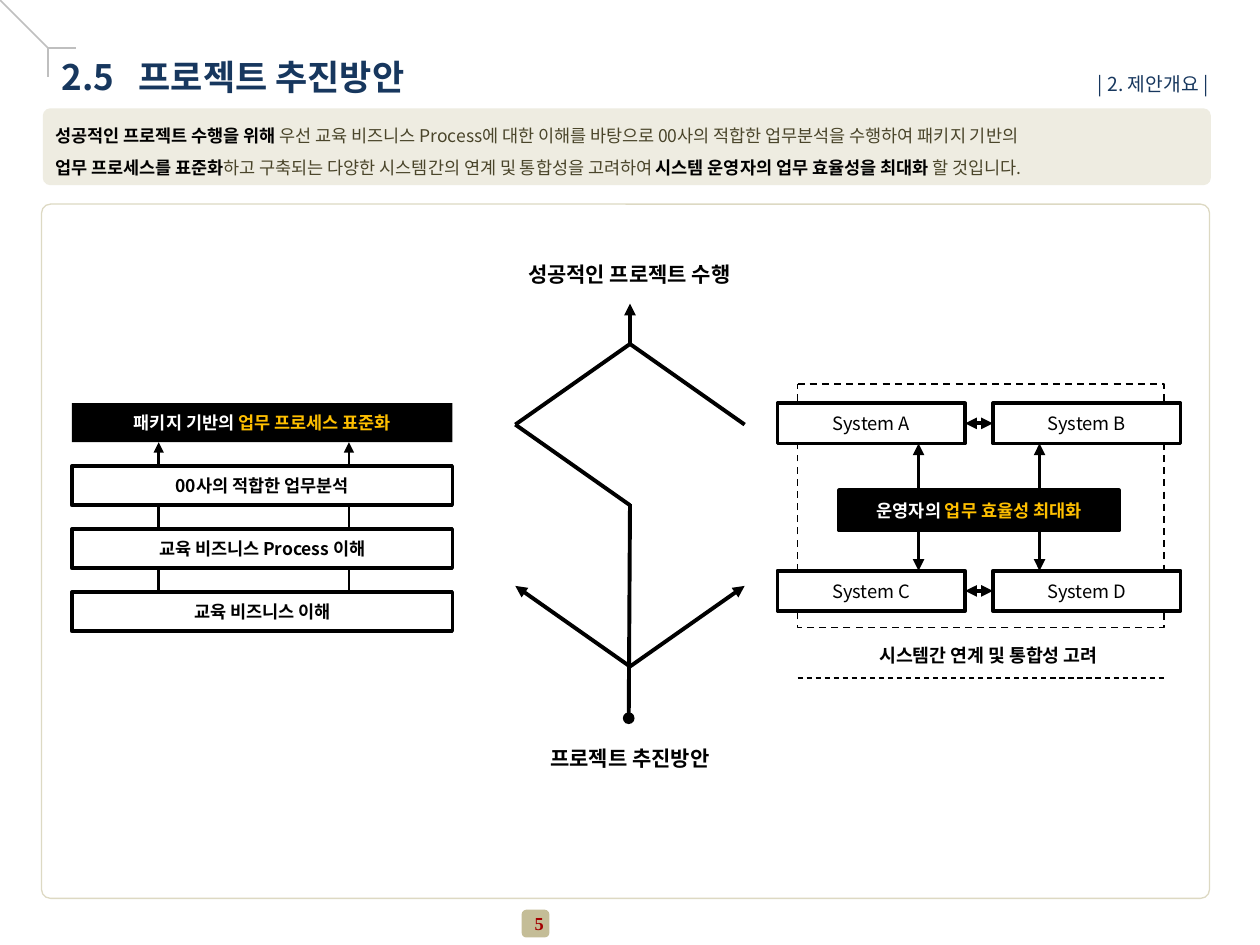
from dataclasses import dataclass

from lxml import etree
from pptx import Presentation
from pptx import util as u
from pptx.dml import color as colors
from pptx.enum import dml, shapes, text
from pptx.oxml import ns


@dataclass(frozen=True)
class Theme:
    font: str = "Noto Sans CJK KR"
    number_font: str = "Times New Roman"
    navy: str = "17375E"
    black: str = "000000"
    white: str = "FFFFFF"
    amber: str = "FFC000"
    olive: str = "4A452A"
    cream: str = "EEECE1"
    border: str = "DDD9C3"
    khaki: str = "C4BD97"
    red: str = "A40000"
    gray: str = "BFBFBF"
    title: float = 20
    caption: float = 12
    section: float = 11
    system: float = 10.5
    body: float = 10


THEME = Theme()
SHAPE = shapes.MSO_SHAPE
ALIGN = text.PP_ALIGN
ANCHOR = text.MSO_ANCHOR


def rgb(value):
    return colors.RGBColor.from_string(value)


def place(box, left, top, width, height):
    box.left, box.top = u.Inches(left), u.Inches(top)
    box.width, box.height = u.Inches(width), u.Inches(height)


def write_line(para, runs, size, align=ALIGN.CENTER, spacing=1.0, font=THEME.font):
    para.alignment = align
    para.line_spacing = spacing
    para.space_before = u.Pt(0)
    for words, color, bold in runs:
        span = para.add_run()
        span.text = words
        span.font.name = font
        span.font.size = u.Pt(size)
        span.font.bold = bold
        span.font.color.rgb = rgb(color)
        east_asian = etree.SubElement(span.font._element, ns.qn("a:ea"))
        east_asian.set("typeface", font)


def outline(line, color, width, dashed=False):
    line.color.rgb = rgb(color)
    line.width = u.Pt(width)
    if dashed:
        line.dash_style = dml.MSO_LINE.DASH


def add_box(page, at, kind=SHAPE.RECTANGLE, fill=None, border=None, width=2,
            dashed=False, corner=None):
    box = page.shapes.add_shape(kind, *map(u.Inches, at))
    box.shadow.inherit = False
    if corner is not None:
        box.adjustments[0] = corner
    if fill:
        box.fill.solid()
        box.fill.fore_color.rgb = rgb(fill)
    else:
        box.fill.background()
    if border:
        outline(box.line, border, width, dashed)
    else:
        box.line.fill.background()
    return box


def add_labeled_box(page, at, runs, size=THEME.body, **style):
    box = add_box(page, at, **style)
    frame = box.text_frame
    frame.word_wrap = True
    frame.vertical_anchor = ANCHOR.MIDDLE
    write_line(frame.paragraphs[0], runs, size)
    return box


def add_label(page, at, words, size, color=THEME.black, bold=True,
              align=ALIGN.CENTER, spacing=1.0):
    frame = page.shapes.add_textbox(*map(u.Inches, at)).text_frame
    frame.word_wrap = True
    write_line(frame.paragraphs[0], [(words, color, bold)], size, align, spacing)


def add_link(page, start, end, width=2.25, color=THEME.black, head=None, tail=None,
             dashed=False):
    link = page.shapes.add_connector(
        shapes.MSO_CONNECTOR.STRAIGHT, *map(u.Inches, (*start, *end)))
    outline(link.line, color, width, dashed)
    stroke = link.line._get_or_add_ln()
    for tag, arrow in (("a:headEnd", head), ("a:tailEnd", tail)):
        if arrow:
            etree.SubElement(stroke, ns.qn(tag)).set("type", arrow)
    etree.SubElement(link._element.spPr, ns.qn("a:effectLst"))
    return link


def add_title(page):
    title = page.shapes.title
    place(title, 0.39, 0.39, 3.14, 0.44)
    frame = title.text_frame
    frame.auto_size = text.MSO_AUTO_SIZE.NONE
    frame.word_wrap = False
    frame.vertical_anchor = ANCHOR.TOP
    para = frame.paragraphs[0]
    tabs = etree.SubElement(para._p.get_or_add_pPr(), ns.qn("a:tabLst"))
    tab = etree.SubElement(tabs, ns.qn("a:tab"))
    tab.set("pos", str(u.Inches(0.61)))
    tab.set("algn", "l")
    write_line(para, [("2.5\t프로젝트 추진방안", THEME.navy, True)], THEME.title, ALIGN.LEFT)


def add_summary(page):
    at = (0.34, 0.86, 9.27, 0.61)
    add_box(page, at, SHAPE.ROUNDED_RECTANGLE, THEME.cream, corner=0.096)
    body = page.placeholders[1]
    place(body, *at)
    page.shapes._spTree.append(body._element)
    frame = body.text_frame
    frame.auto_size = text.MSO_AUTO_SIZE.NONE
    frame.word_wrap = True
    lines = (
        [("성공적인 프로젝트 수행을 위해 ", THEME.black, True),
         ("우선 교육 비즈니스 Process에 대한 이해를 바탕으로 00사의 적합한 업무분석을 "
          "수행하여 패키지 기반의", THEME.olive, False)],
        [("업무 프로세스를 표준화", THEME.black, True),
         ("하고 구축되는 다양한 시스템간의 연계 및 통합성을 고려하여 ", THEME.olive, False),
         ("시스템 운영자의 업무 효율성을 최대화 ", THEME.black, True),
         ("할 것입니다.", THEME.olive, False)],
    )
    for index, runs in enumerate(lines):
        para = frame.add_paragraph() if index else frame.paragraphs[0]
        properties = para._p.get_or_add_pPr()
        properties.set("marL", "0")
        properties.set("indent", "0")
        etree.SubElement(properties, ns.qn("a:buNone"))
        write_line(para, runs, THEME.body, ALIGN.LEFT, 1.5)


def add_page_frame(page):
    corner = (0.38, 0.38)
    for end in ((0.6, 0.38), (0.38, 0.61), (0, 0)):
        add_link(page, corner, end, 1, THEME.gray)
    add_label(page, (8.15, 0.43, 1.54, 0.34), "| 2. 제안개요 |", THEME.section,
              THEME.navy, False, ALIGN.RIGHT, 1.5)
    add_box(page, (0.33, 1.62, 9.27, 5.51), SHAPE.ROUNDED_RECTANGLE,
            border=THEME.border, width=0.75, corner=0.013)
    badge = add_box(page, (4.14, 7.22, 0.22, 0.22), SHAPE.ROUNDED_RECTANGLE, THEME.khaki)
    frame = badge.text_frame
    frame.margin_left = u.Inches(0.06)
    frame.margin_right = frame.margin_top = frame.margin_bottom = 0
    frame.vertical_anchor = ANCHOR.MIDDLE
    write_line(frame.paragraphs[0], [("5", THEME.red, True)], THEME.system,
               font=THEME.number_font)


def add_roadmap(page):
    left, center, right = 4.09, 5, 5.91
    peak, fork = (center, 2.73), (center, 5.29)
    add_link(page, (right, 3.37), peak)
    add_link(page, peak, (left, 3.37))
    add_link(page, (left, 3.37), (center, 4.01))
    add_link(page, (center, 4), (4.99, 5.7), tail="oval")
    for end in ((right, 4.65), (left, 4.65)):
        add_link(page, fork, end, tail="triangle")
    add_link(page, peak, (center, 2.41), tail="triangle")
    add_label(page, (3.84, 2.03, 2.31, 0.3), "성공적인 프로젝트 수행", THEME.caption)
    add_label(page, (4.03, 5.87, 1.94, 0.3), "프로젝트 추진방안", THEME.caption)


def add_process_steps(page):
    left, top, width, height, pitch = 0.57, 3.2, 3.02, 0.31, 0.5
    add_labeled_box(page, (left, top, width, height),
                    [("패키지 기반의 ", THEME.white, True),
                     ("업무 프로세스 표준화", THEME.amber, True)], fill=THEME.black)
    steps = ("00사의 적합한 업무분석", "교육 비즈니스 Process 이해", "교육 비즈니스 이해")
    for index, words in enumerate(steps):
        step_top = top + pitch * (index + 1)
        add_labeled_box(page, (left, step_top, width, height),
                        [(words, THEME.black, True)], border=THEME.black)
        for x in (1.26, 2.77):
            add_link(page, (x, step_top - pitch + height), (x, step_top), 1.5,
                     head=None if index else "triangle")


def add_system_map(page):
    width, height = 1.49, 0.32
    add_box(page, (6.33, 3.05, 2.91, 1.93), SHAPE.ROUNDED_RECTANGLE,
            border=THEME.black, width=1, dashed=True, corner=0)
    for top, names in ((3.2, "AB"), (4.53, "CD")):
        pair = [add_labeled_box(page, (left, top, width, height),
                                [(f"System {name}", THEME.black, False)], THEME.system,
                                fill=THEME.white, border=THEME.black)
                for left, name in zip((6.17, 7.88), names)]
        middle = top + height / 2
        link = add_link(page, (7.66, middle), (7.88, middle),
                        head="triangle", tail="triangle")
        link.begin_connect(pair[0], 3)
        link.end_connect(pair[1], 1)
    for x in (7.29, 8.25):
        add_link(page, (x, 3.52), (x, 4.53), head="triangle", tail="triangle")
    add_labeled_box(page, (6.66, 3.89, 2.22, height),
                    [("운영자의", THEME.white, True),
                     (" 업무 효율성 최대화", THEME.amber, True)],
                    fill=THEME.black, border=THEME.black)
    add_label(page, (6.67, 5.06, 2.35, 0.29), "시스템간 연계 및 통합성 고려", THEME.system)
    add_link(page, (6.33, 5.38), (9.24, 5.38), 0.75, dashed=True)


def main():
    deck = Presentation()
    deck.slide_width, deck.slide_height = u.Inches(10), u.Inches(7.5)
    page = deck.slides.add_slide(deck.slide_layouts[1])
    add_title(page)
    add_summary(page)
    add_page_frame(page)
    add_roadmap(page)
    add_process_steps(page)
    add_system_map(page)
    deck.save("out.pptx")


if __name__ == "__main__":
    main()
